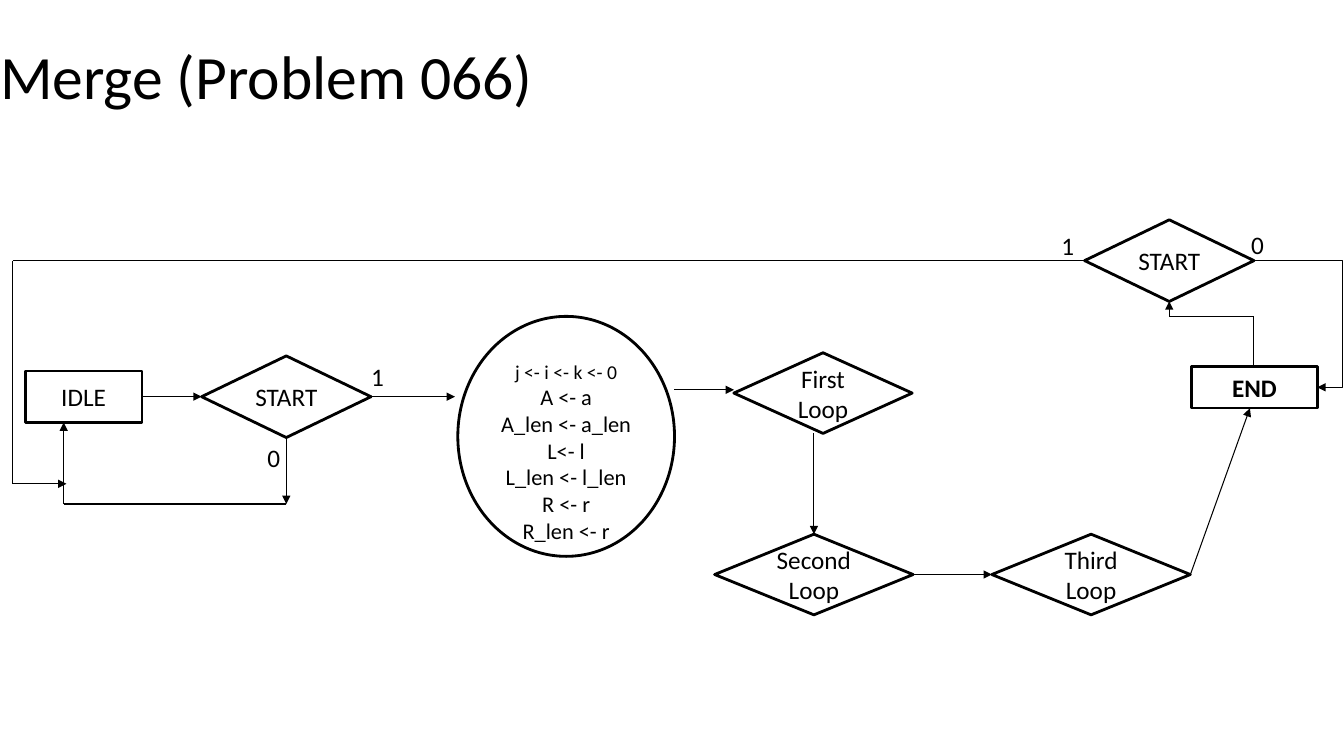
from itertools import pairwise
from lxml.etree import SubElement
from pptx import Presentation
from pptx.dml.color import RGBColor
from pptx.enum.shapes import MSO_CONNECTOR as Link, MSO_SHAPE as Kind
from pptx.enum.text import MSO_ANCHOR as Anchor, PP_ALIGN as Align
from pptx.oxml.ns import qn
from pptx.util import Pt

BLACK = RGBColor(0, 0, 0)
WHITE = RGBColor(255, 255, 255)
FONT = "Calibri"
SETUP = ["j <- i <- k <- 0", "A <- a", "A_len <- a_len", "L<- l",
         "L_len <- l_len", "R <- r", "R_len <- r"]
DIAMOND = 121, 58.3


def style(para, size, bold=False):
    font = para.font
    font.name, font.size, font.bold = FONT, Pt(size), bold
    font.color.rgb = BLACK


def label(slide, x, y, w, h, text, size=18):
    """Place plain text without margins."""
    box = slide.shapes.add_textbox(Pt(x), Pt(y), Pt(w), Pt(h))
    frame = box.text_frame
    frame.word_wrap = True
    frame.margin_left = frame.margin_right = 0
    frame.margin_top = frame.margin_bottom = 0
    frame.text = text
    style(frame.paragraphs[0], size)
    return frame


def node(slide, kind, x, y, w, h, text, bold=False):
    shape = slide.shapes.add_shape(kind, Pt(x), Pt(y), Pt(w), Pt(h))
    shape.shadow.inherit = False
    shape.fill.solid()
    shape.fill.fore_color.rgb = WHITE
    shape.line.color.rgb = BLACK
    shape.line.width = Pt(2)
    frame = shape.text_frame
    frame.vertical_anchor = Anchor.MIDDLE
    frame.text = text
    for para in frame.paragraphs:
        para.alignment = Align.CENTER
        style(para, 18, bold)
    return frame


def link(slide, start, end, arrow=True, kind=Link.STRAIGHT):
    ends = [Pt(v) for v in (*start, *end)]
    line = slide.shapes.add_connector(kind, *ends)
    line.line.color.rgb = BLACK
    line.line.width = Pt(0.75)
    props = line._element.spPr
    if arrow:
        SubElement(props.find(qn("a:ln")), qn("a:tailEnd"), type="triangle")
    SubElement(props, qn("a:effectLst"))
    return line


def route(slide, *points):
    """Join the points by straight lines, with an arrow on the last."""
    for start, end in pairwise(points):
        link(slide, start, end, end == points[-1])


def title(slide, x, y, w, h):
    frame = label(slide, x, y, w, h, "Merge (Problem 066)", 44)
    frame.vertical_anchor = Anchor.MIDDLE
    frame.paragraphs[0].line_spacing = 0.9


def idle(slide, x, y):
    """Draw the waiting state and its start test."""
    w, h = DIAMOND
    mid, test = y + h / 2, x + 126
    turn = test + w / 2
    back, low = x + 27.5, y + 105.8
    node(slide, Kind.RECTANGLE, x, mid - 18.4, 83.5, 36.7, "IDLE")
    node(slide, Kind.FLOWCHART_DECISION, test, y, w, h, "START")
    link(slide, (x + 83.5, mid), (test, mid))
    link(slide, (test + w, mid), (test + w + 60, mid))
    link(slide, (turn, y + h), (turn, low))
    route(slide, (turn, low), (back, low), (back, mid + 18.4))
    label(slide, turn - 13.5, y + h + 3.6, 12, 22, "0")
    label(slide, test + w, y + 3.6, 12, 22, "1")


def setup(slide, x, y, w, h):
    frame = node(slide, Kind.OVAL, x, y, w, h, "\n".join(SETUP))
    frame.margin_top = Pt(25.6)
    for para in frame.paragraphs:
        style(para, 16)
    frame.paragraphs[0].font.size = Pt(14)
    link(slide, (x + w, y + 52.5), (x + w + 42.5, y + 52.5))


def loops(slide, x, y):
    """Draw the three loops in order."""
    w, h, step, drop = 141.8, 57.6, 198, 129.6
    low, stem = y + drop, x + w / 2
    mid = low + h / 2
    decide = Kind.FLOWCHART_DECISION
    node(slide, decide, x + 13.7, y, 127.4, h, "First Loop")
    node(slide, decide, x, low, w, h, "Second Loop")
    node(slide, decide, x + step, low, w, h, "Third Loop")
    link(slide, (stem, y + h), (stem, low))
    link(slide, (x + w, mid), (x + step, mid))
    link(slide, (x + step + w, mid), (x + step + w + 42.5, y + 39.6))


def finish(slide, x, y):
    """Draw the end state, its start test and the way back to idle."""
    w, h = DIAMOND
    mid, turn, right = y + h / 2, x + w / 2, x + w
    top, left, bend = y + 105, x + 76.3, y + 69
    node(slide, Kind.FLOWCHART_DECISION, x, y, w, h, "START")
    node(slide, Kind.RECTANGLE, left, top, 90, 29.5, "END", True)
    route(slide, (right, top), (right, bend), (turn, bend), (turn, y + h))
    elbow = link(slide, (right, mid), (left + 90, top + 14.7),
                 kind=Link.ELBOW)
    shape = elbow._element.spPr.find(qn("a:prstGeom"))
    SubElement(shape.find(qn("a:avLst")), qn("a:gd"),
               name="adj1", fmla="val 140000")
    route(slide, (x, mid), (9, mid), (9, 345.6), (47.5, 345.6))
    label(slide, right - 2, y + 7, 12, 22, "0")
    label(slide, x - 16.5, y + 7.7, 12, 22, "1")


def main():
    deck = Presentation()
    deck.slide_width, deck.slide_height = Pt(960), Pt(540)
    slide = deck.slides.add_slide(deck.slide_layouts[6])
    title(slide, 0, 24, 600, 65)
    idle(slide, 18, 254.2)
    setup(slide, 327, 226, 154.8, 171.4)
    loops(slide, 510.5, 252)
    finish(slide, 774.7, 157)
    deck.save("out.pptx")


if __name__ == "__main__":
    main()
